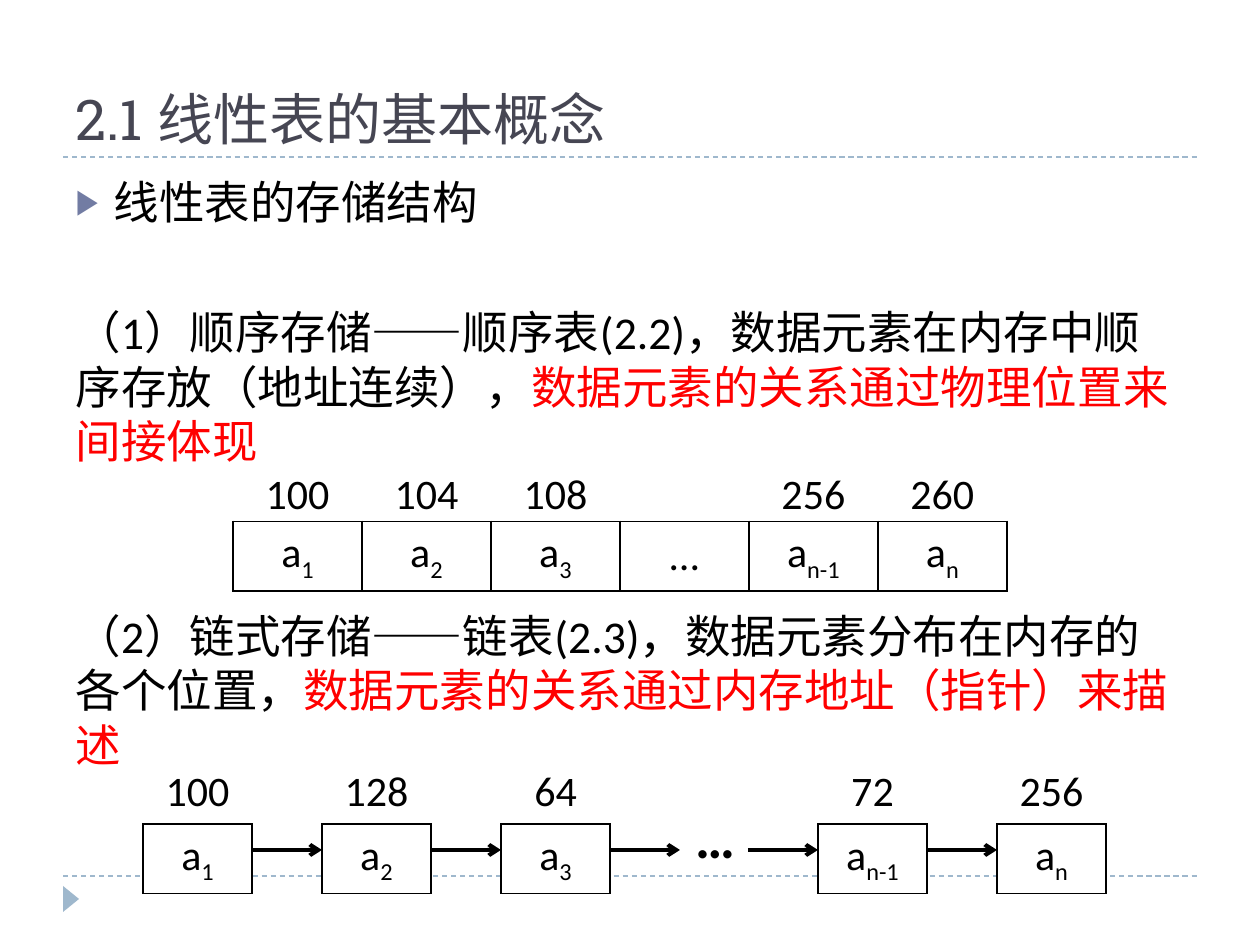
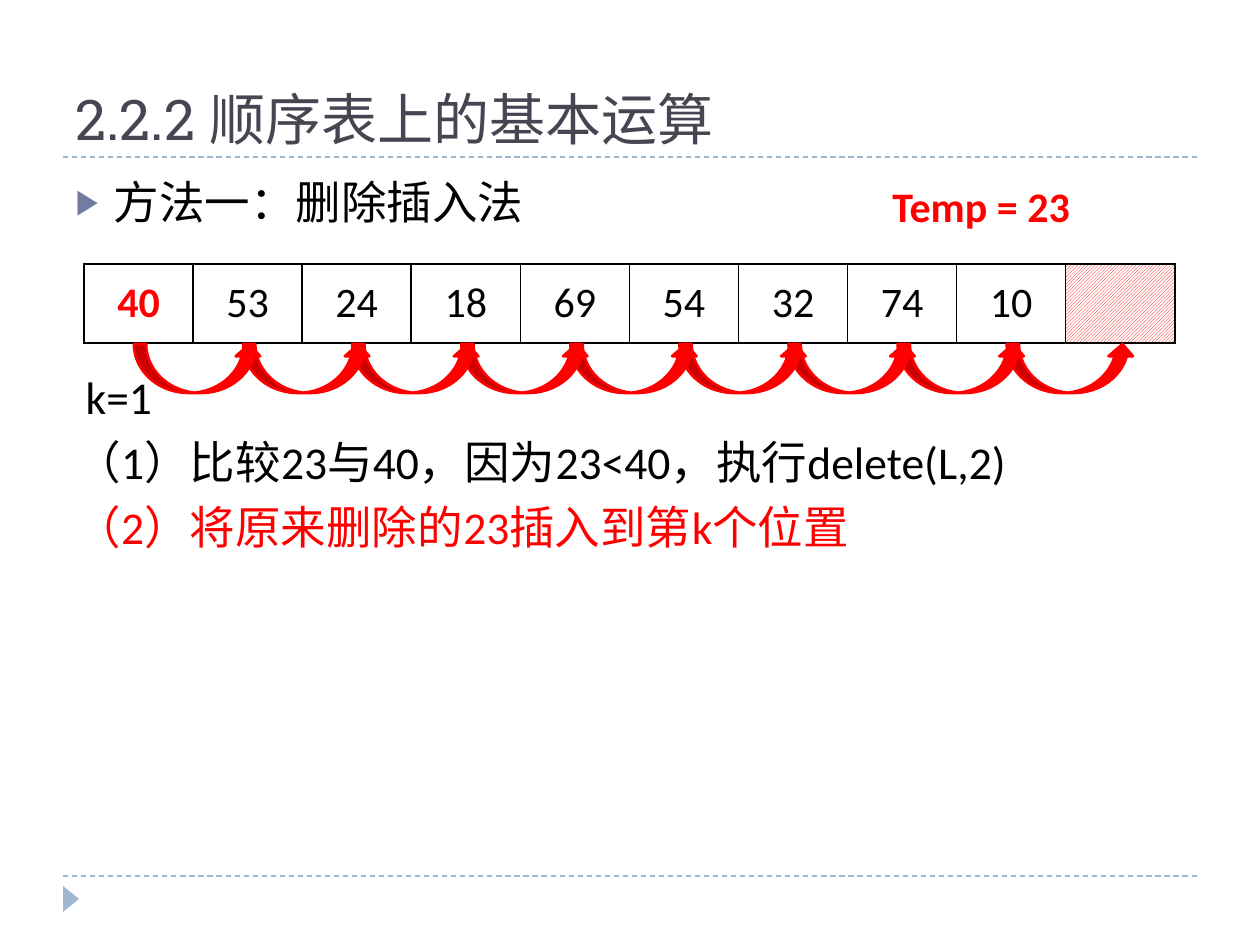
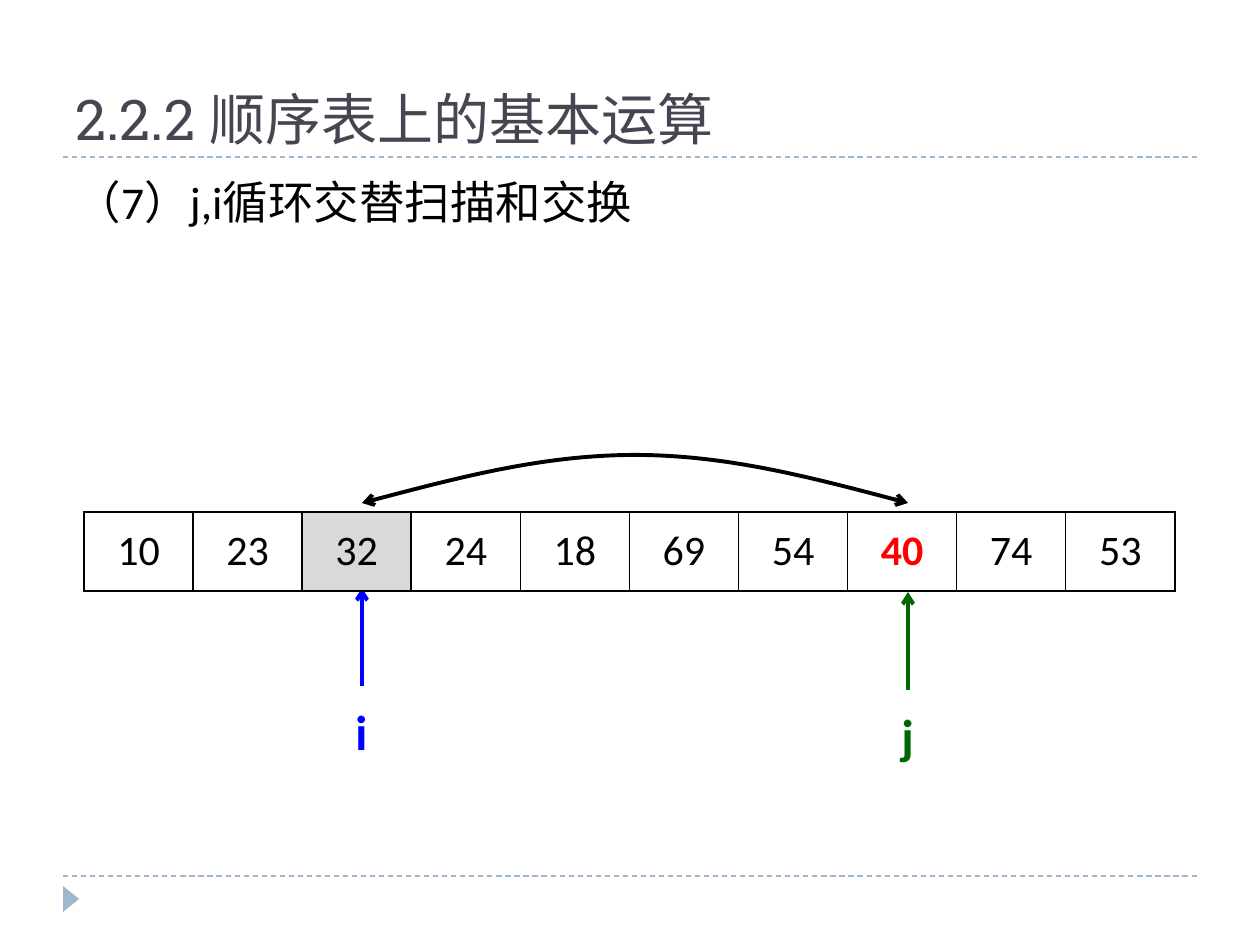
from dataclasses import dataclass

from lxml.etree import SubElement
from pptx import Presentation
from pptx.dml.color import RGBColor
from pptx.enum.dml import MSO_LINE, MSO_PATTERN
from pptx.enum.shapes import MSO_CONNECTOR, MSO_SHAPE
from pptx.enum.text import MSO_ANCHOR, MSO_AUTO_SIZE, PP_ALIGN
from pptx.oxml.ns import qn
from pptx.util import Emu, Inches, Pt

PX = Inches(1) / 126
NO_TABLE_STYLE = "{2D5ABB26-0587-4C30-8999-92F81FD0307C}"
ARRAY_LEFT, ARRAY_WIDTH, ARRAY_LENGTH = 84, 1091, 10
ARRAY_PITCH = ARRAY_WIDTH / ARRAY_LENGTH


@dataclass(frozen=True)
class Theme:
    title_font: str = "Roboto Slab"
    body_font: str = "Calibri"
    title_color: str = "464653"
    text_color: str = "000000"
    accent: str = "FF0000"
    rule: str = "9FB8CD"
    bullet: str = "727CA3"
    paper: str = "FFFFFF"
    shade: str = "D9D9D9"
    left_index: str = "0000FF"
    right_index: str = "006600"
    title_size: int = 32
    body_size: int = 26
    cell_size: int = 24
    index_size: int = 28


@dataclass(frozen=True)
class Run:
    text: str
    color: str = None
    bold: bool = False
    subscript: bool = False


THEME = Theme()


def px(length):
    return Emu(round(length * PX))


def box_of(*lengths):
    return [px(length) for length in lengths]


def rgb(color):
    return RGBColor.from_string(color)


def write_text(paragraph, *runs, size=THEME.body_size, color=THEME.text_color,
               font=THEME.body_font, bold=False, align=PP_ALIGN.LEFT):
    """Fill a paragraph with strings or Run objects in one format."""
    paragraph.alignment = align
    for part in runs:
        part = part if isinstance(part, Run) else Run(part)
        run = paragraph.add_run()
        run.text = part.text
        run.font.name = font
        run.font.size = Pt(size)
        run.font.bold = bold or part.bold
        run.font.color.rgb = rgb(part.color or color)
        if part.subscript:
            run.font._element.set("baseline", "-25000")


def set_paragraph(paragraph, before=0, indent=0, bullet=False):
    properties = paragraph._p.get_or_add_pPr()
    properties.set("marL", str(px(38 if bullet else indent)))
    properties.set("indent", str(px(-38 if bullet else 0)))
    if bullet:
        bullet_color = SubElement(properties, qn("a:buClr"))
        SubElement(bullet_color, qn("a:srgbClr"), val=THEME.bullet)
        SubElement(properties, qn("a:buSzPct"), val="76000")
        SubElement(properties, qn("a:buChar"), char="▶")
    else:
        SubElement(properties, qn("a:buNone"))
    paragraph.space_before = Pt(before)


def add_label(slide, box, text, **text_format):
    frame = slide.shapes.add_textbox(*box_of(*box)).text_frame
    frame.word_wrap = False
    frame.auto_size = MSO_AUTO_SIZE.SHAPE_TO_FIT_TEXT
    write_text(frame.paragraphs[0], text, bold=True, **text_format)


def style_line(shape, color, width, ends=()):
    shape.line.color.rgb = rgb(color)
    shape.line.width = Pt(width)
    for end in ends:
        SubElement(shape.line._get_or_add_ln(), qn(f"a:{end}"), type="arrow")


def add_line(slide, start, end, color=THEME.text_color, width=2.25, ends=("tailEnd",)):
    line = slide.shapes.add_connector(MSO_CONNECTOR.STRAIGHT, *box_of(*start, *end))
    style_line(line, color, width, ends)
    SubElement(line._element.spPr, qn("a:effectLst"))
    return line


# Frame shared by all slides: title, dashed rules, corner marker, body
def add_content_slide(presentation, title, paragraphs):
    slide = presentation.slides.add_slide(presentation.slide_layouts[1])
    heading, body = slide.placeholders
    for placeholder, box in ((heading, (63, 21, 1134, 137)), (body, (63, 168, 1136, 680))):
        (placeholder.left, placeholder.top,
         placeholder.width, placeholder.height) = box_of(*box)
        placeholder.text_frame.auto_size = MSO_AUTO_SIZE.NONE
    heading.text_frame.vertical_anchor = MSO_ANCHOR.BOTTOM
    write_text(heading.text_frame.paragraphs[0], title, size=THEME.title_size,
               color=THEME.title_color, font=THEME.title_font)

    frame = body.text_frame
    frame.vertical_anchor = MSO_ANCHOR.TOP
    for number, (runs, layout) in enumerate(paragraphs):
        paragraph = frame.add_paragraph() if number else frame.paragraphs[0]
        set_paragraph(paragraph, **layout)
        write_text(paragraph, *runs)

    for y in (876, 157):
        rule = add_line(slide, (63, y), (1197, y), THEME.rule, 0.75, ends=())
        rule.line.dash_style = MSO_LINE.DASH
    marker = slide.shapes.add_shape(MSO_SHAPE.ISOSCELES_TRIANGLE, *box_of(58, 891, 26, 16))
    marker.rotation = 90
    marker.shadow.inherit = False
    marker.fill.solid()
    marker.fill.fore_color.rgb = rgb(THEME.rule)
    marker.line.fill.background()
    return slide


# Tables
def add_borders(cell):
    properties = cell._tc.get_or_add_tcPr()
    for side in ("lnL", "lnR", "lnT", "lnB"):
        line = SubElement(properties, qn(f"a:{side}"), w=str(Pt(1)))
        fill = SubElement(line, qn("a:solidFill"))
        SubElement(fill, qn("a:srgbClr"), val=THEME.text_color)


def add_cells(slide, left, top, column_width, row_heights, rows, tight_header=False):
    """Add a table of run lists; only its last row is ruled."""
    columns = len(rows[0])
    table = slide.shapes.add_table(
        len(rows), columns,
        *box_of(left, top, column_width * columns, sum(row_heights))).table
    table.first_row = table.horz_banding = False
    table._tbl.tblPr.find(qn("a:tableStyleId")).text = NO_TABLE_STYLE
    for column in table.columns:
        column.width = px(column_width)
    for row_number, (height, row) in enumerate(zip(row_heights, rows)):
        table.rows[row_number].height = px(height)
        last = row_number == len(rows) - 1
        for column_number, runs in enumerate(row):
            cell = table.cell(row_number, column_number)
            cell.vertical_anchor = MSO_ANCHOR.MIDDLE
            if tight_header and not last:
                cell.margin_left = cell.margin_right = 0
                cell.margin_top = cell.margin_bottom = 0
            if last:
                add_borders(cell)
            cell.fill.solid()
            cell.fill.fore_color.rgb = rgb(THEME.paper)
            write_text(cell.text_frame.paragraphs[0], *runs,
                       size=THEME.cell_size, align=PP_ALIGN.CENTER)
    return table


def add_array(slide, top, values, key):
    """Add the ten-cell array with the key value emphasised."""
    row = [[Run(value, THEME.accent, bold=True) if value == key else value]
           if value else [] for value in values]
    return add_cells(slide, ARRAY_LEFT, top, ARRAY_PITCH, [79], [row])


def element(index):
    return ["a", Run(index, subscript=True)]


# Slide 1: sequential and linked storage
def add_sequential_storage(slide, left, top):
    addresses = [["100"], ["104"], ["108"], [], ["256"], ["260"]]
    elements = [element("1"), element("2"), element("3"), ["…"],
                element("n-1"), element("n")]
    add_cells(slide, left, top, 129, [51, 69], [addresses, elements], tight_header=True)


def add_linked_storage(slide, left, top):
    node_width, link, pitch = 109, 70, 179
    link_y = top + 90
    second_part = left + 675
    nodes = [(left + pitch * i, address, str(i + 1))
             for i, address in enumerate(("100", "128", "64"))]
    nodes += [(second_part, "72", "n-1"), (second_part + pitch, "256", "n")]
    for x, address, index in nodes:
        add_cells(slide, x, top, node_width, [64, 69], [[[address]], [element(index)]])
    starts = [x + node_width for x, _, _ in nodes[:-1]]
    for x in starts[:3] + [second_part - link] + starts[3:]:
        add_line(slide, (x, link_y), (x + link, link_y))
    add_label(slide, (left + 540, top + 36, 66, 81), "…", size=THEME.title_size)


def build_storage_slide(presentation):
    slide = add_content_slide(presentation, "2.1 线性表的基本概念", [
        (["线性表的存储结构"], dict(bullet=True)),
        (["（1）顺序存储——顺序表(2.2)，数据元素在内存中顺序存放（地址连续），",
          Run("数据元素的关系通过物理位置来间接体现", THEME.accent)], dict(before=43)),
        (["（2）链式存储——链表(2.3)，数据元素分布在内存的各个位置，",
          Run("数据元素的关系通过内存地址（指针）来描述", THEME.accent)], dict(before=80)),
    ])
    add_sequential_storage(slide, 233, 470)
    add_linked_storage(slide, 143, 760)


# Slide 2: every value moves one place to the right
def add_shift_arrows(slide, left, top, count):
    for i in reversed(range(count)):
        arrow = slide.shapes.add_shape(MSO_SHAPE.CURVED_UP_ARROW,
                                       *box_of(left + ARRAY_PITCH * i, top, 128, 49))
        arrow.shadow.inherit = False
        arrow.fill.solid()
        arrow.fill.fore_color.rgb = rgb(THEME.accent)
        style_line(arrow, THEME.accent, 1.5)


def build_insertion_slide(presentation):
    slide = add_content_slide(presentation, "2.2.2 顺序表上的基本运算", [
        (["方法一：删除插入法"], dict(bullet=True)),
        (["k=1"], dict(before=80, indent=10)),
        (["（1）比较23与40，因为23<40，执行delete(L,2)"], dict(before=6)),
        ([Run("（2）将原来删除的23插入到第k个位置", THEME.accent)], dict(before=6)),
    ])
    values = ["40", "53", "24", "18", "69", "54", "32", "74", "10", ""]
    free_cell = add_array(slide, 264, values, key="40").cell(0, 9)
    free_cell.fill.patterned()
    free_cell.fill.pattern = MSO_PATTERN.LIGHT_UPWARD_DIAGONAL
    free_cell.fill.fore_color.rgb = rgb(THEME.accent)
    free_cell.fill.back_color.rgb = rgb(THEME.paper)
    add_shift_arrows(slide, 134, 344, len(values) - 1)
    add_label(slide, (880, 174, 217, 63), "Temp = 23",
              size=THEME.cell_size, color=THEME.accent)


# Slide 3: two indexes scan and swap
def add_index(slide, x, top, name, color):
    add_line(slide, (x, top + 98), (x, top), color)
    add_label(slide, (x - 19, top + 107, 38, 72), name, size=THEME.index_size, color=color)


def add_swap_arc(slide, left, top, width, height):
    builder = slide.shapes.build_freeform(left, top + height, scale=PX)
    builder.add_line_segments([(left + width / 2, top), (left + width, top + height)],
                              close=False)
    arc = builder.convert_to_shape()
    outline = arc._element.find(".//" + qn("a:path"))
    for segment in outline.findall(qn("a:lnTo")):
        outline.remove(segment)
    # Two mirrored curves meet at the crest
    sixth, middle = width / 6, height / 2
    for curve in (((sixth, middle), (2 * sixth, 0), (3 * sixth, 0)),
                  ((4 * sixth, 0), (5 * sixth, middle), (width, height))):
        segment = SubElement(outline, qn("a:cubicBezTo"))
        for x, y in curve:
            SubElement(segment, qn("a:pt"), x=str(round(x)), y=str(round(y)))
    arc.shadow.inherit = False
    arc.fill.background()
    style_line(arc, THEME.text_color, 2.25, ("headEnd", "tailEnd"))


def build_swap_slide(presentation):
    slide = add_content_slide(presentation, "2.2.2 顺序表上的基本运算", [
        (["（7）j,i循环交替扫描和交换"], {}),
    ])
    add_index(slide, 362, 588, "i", THEME.left_index)
    add_index(slide, 908, 592, "j", THEME.right_index)
    values = ["10", "23", "32", "24", "18", "69", "54", "40", "74", "53"]
    table = add_array(slide, 512, values, key="40")
    table.cell(0, 2).fill.fore_color.rgb = rgb(THEME.shade)
    add_swap_arc(slide, 362, 455, 546, 48)


def main():
    presentation = Presentation()
    presentation.slide_width, presentation.slide_height = box_of(1260, 945)
    build_storage_slide(presentation)
    build_insertion_slide(presentation)
    build_swap_slide(presentation)
    presentation.save("out.pptx")


if __name__ == "__main__":
    main()
